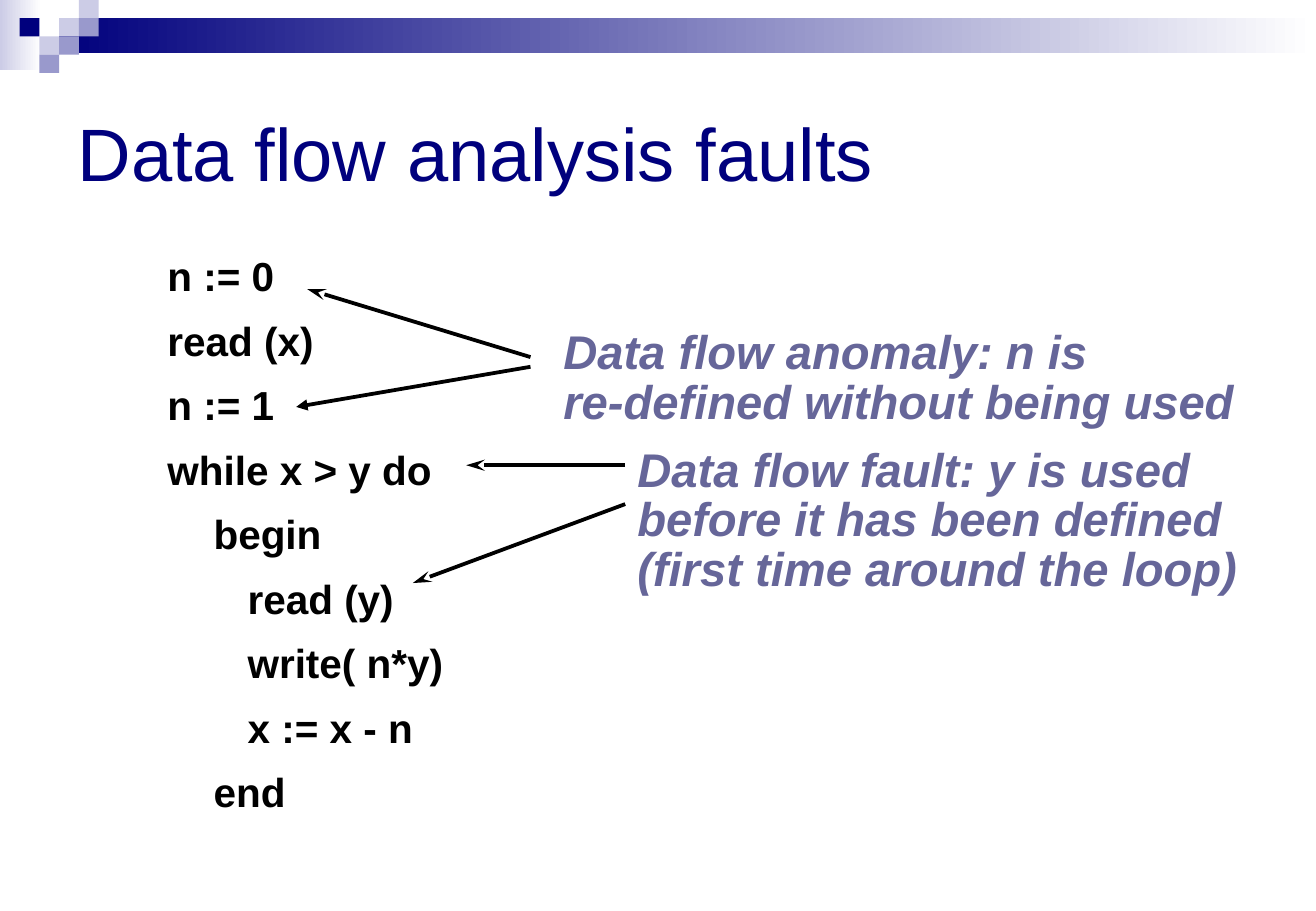
from lxml.etree import SubElement
from pptx import Presentation
from pptx.dml.color import RGBColor
from pptx.enum.shapes import MSO_CONNECTOR, MSO_SHAPE
from pptx.enum.text import MSO_ANCHOR, PP_ALIGN
from pptx.oxml.ns import qn
from pptx.util import Inches, Pt

NAVY = RGBColor(0x00, 0x00, 0x7D)
LAVENDER = RGBColor(0xCC, 0xCC, 0xE6)
PERIWINKLE = RGBColor(0x99, 0x99, 0xCC)
SLATE = RGBColor(0x66, 0x66, 0x99)
BLACK = RGBColor(0x00, 0x00, 0x00)
WHITE = RGBColor(0xFF, 0xFF, 0xFF)


class SlideBuilder:
    font = "Arial"
    line_width = Pt(2.24)

    def __init__(self, page):
        self.page = page

    def block(self, left, top, width, height, color, fade=False):
        """Draw a rectangle, optionally fading to white on its right."""
        shape = self.page.shapes.add_shape(
            MSO_SHAPE.RECTANGLE, Inches(left), Inches(top), Inches(width), Inches(height))
        shape.shadow.inherit = False
        shape.line.fill.background()
        if fade:
            shape.fill.gradient()
            shape.fill.gradient_angle = 180
            for stop, stop_color in zip(shape.fill.gradient_stops, (WHITE, color)):
                stop.color.rgb = stop_color
        else:
            shape.fill.solid()
            shape.fill.fore_color.rgb = color

    def text(self, left, top, width, height, lines, size, color, bold=False, italic=False,
             spacing=1.0, before=0, inset=(0.07, 0.03), anchor=MSO_ANCHOR.TOP,
             indents=None):
        """Write one paragraph per line, each with its own left indent."""
        box = self.page.shapes.add_textbox(
            Inches(left), Inches(top), Inches(width), Inches(height))
        frame = box.text_frame
        frame.word_wrap = True
        frame.vertical_anchor = anchor
        frame.margin_left = frame.margin_right = Inches(inset[0])
        frame.margin_top = frame.margin_bottom = Inches(inset[1])
        frame.text = "\n".join(lines)
        for paragraph, indent in zip(frame.paragraphs, indents or [0] * len(lines)):
            paragraph.alignment = PP_ALIGN.LEFT
            paragraph.line_spacing = spacing
            paragraph.space_before = Pt(before)
            paragraph._p.get_or_add_pPr().set("marL", str(Inches(indent)))
            for span in paragraph.runs:
                span.font.name = self.font
                span.font.size = Pt(size)
                span.font.bold = bold
                span.font.italic = italic
                span.font.color.rgb = color

    def arrow(self, start, end, head="stealth", length="lg"):
        """Draw a black line with an arrowhead at its end."""
        connector = self.page.shapes.add_connector(
            MSO_CONNECTOR.STRAIGHT, *(Inches(value) for value in (*start, *end)))
        connector.line.color.rgb = BLACK
        connector.line.width = self.line_width
        SubElement(connector.line._get_or_add_ln(), qn("a:tailEnd"), type=head, len=length)
        SubElement(connector._element.spPr, qn("a:effectLst"))

    def note(self, left, top, width, height, lines):
        """Write an explanation beside the code."""
        self.text(left, top, width, height, lines, 28, SLATE, bold=True, italic=True,
                  spacing=0.87)


deck = Presentation()
deck.slide_width = Inches(10.84)
deck.slide_height = Inches(7.5)
slide = SlideBuilder(deck.slides.add_slide(deck.slide_layouts[6]))

# Header bands
slide.block(0, 0, 0.34, 0.58, LAVENDER, fade=True)
slide.block(0.49, 0.15, 10.34, 0.29, NAVY, fade=True)

# Header mosaic: column, row and colour of each tile
TILE_WIDTH, TILE_HEIGHT = 0.65 / 4, 0.15
MOSAIC = [(3, 1, LAVENDER), (4, 0, LAVENDER), (4, 1, PERIWINKLE), (2, 2, LAVENDER),
          (1, 1, NAVY), (3, 2, PERIWINKLE), (2, 3, PERIWINKLE)]
for column, row, color in MOSAIC:
    slide.block(column * TILE_WIDTH, row * TILE_HEIGHT, TILE_WIDTH, TILE_HEIGHT, color)

# Title
slide.text(0.54, 0.5, 9.75, 1.5, ["Data flow analysis faults"], 44, NAVY,
           inset=(0.1, 0.05), anchor=MSO_ANCHOR.MIDDLE)

# Code listing: indent and statement
OUTER, BLOCK, BODY = 0, 0.38, 0.66
CODE = [(OUTER, "n := 0"), (OUTER, "read (x)"), (OUTER, "n := 1"),
        (OUTER, "while x > y do"), (BLOCK, "begin"), (BODY, "read (y)"),
        (BODY, "write( n*y)"), (BODY, "x := x - n"), (BLOCK, "end")]
indents, statements = zip(*CODE)
slide.text(1.31, 2.09, 3.13, 4.65, statements, 24, BLACK, bold=True,
           spacing=0.88, before=12.9, indents=indents)

# Anomaly: n is defined twice
slide.note(4.57, 2.69, 6, 0.87,
           ["Data flow anomaly: n is", "re-defined without being used"])
slide.arrow((4.37, 3.02), (2.44, 3.35), head="triangle", length="med")
slide.arrow((4.37, 2.94), (2.53, 2.38))

# Fault: y is used before its definition
slide.note(5.18, 3.66, 5.4, 1.28,
           ["Data flow fault: y is used", "before it has been defined",
            "(first time around the loop)"])
slide.arrow((5.15, 3.83), (3.84, 3.83))
slide.arrow((5.15, 4.15), (3.4, 4.8))

deck.save("out.pptx")
